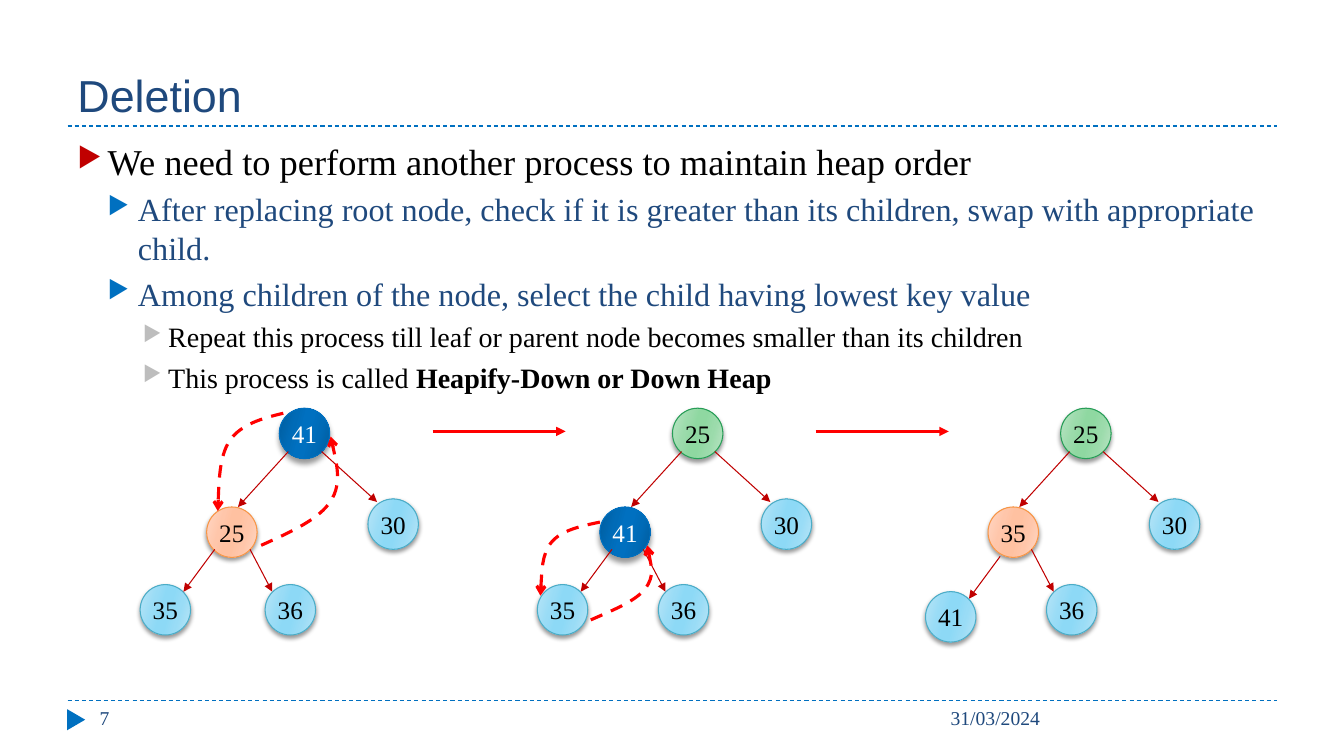
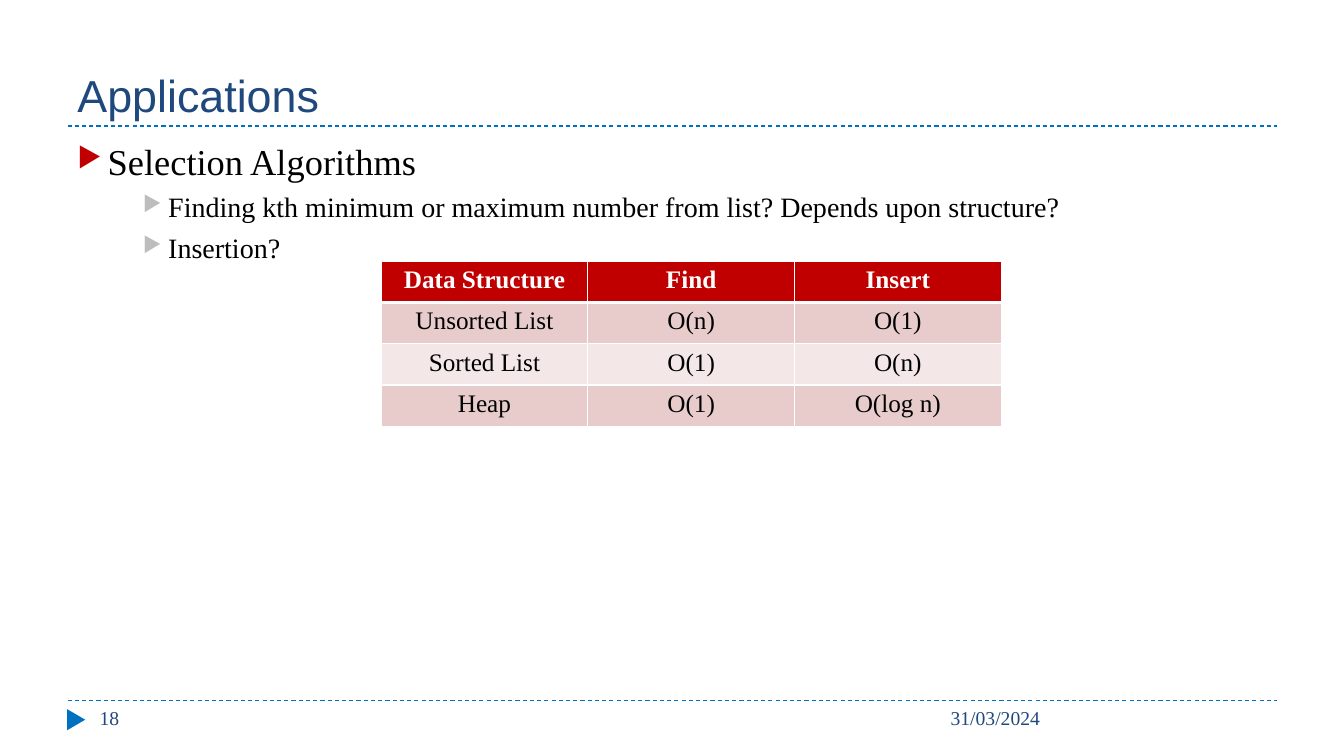
from lxml.etree import SubElement
from pptx import Presentation
from pptx.dml.color import RGBColor
from pptx.enum.dml import MSO_LINE as Dash
from pptx.enum.shapes import MSO_CONNECTOR as Conn, MSO_SHAPE as Shape
from pptx.enum.text import MSO_ANCHOR as Anchor, PP_ALIGN as Align
from pptx.oxml.ns import qn
from pptx.util import Pt

PX = 9144  # EMU in one px, 100 px to the inch
SERIF, SANS = "Times New Roman", "Arial"
HEX = {
    "navy": "1F497D", "blue": "0070C0", "crimson": "C00000", "red": "FF0000",
    "gray": "BDBDBD", "black": "000000", "white": "FFFFFF",
    "rose": "E8CCCC", "blush": "F4E7E7",
}
# Node style: outer, middle and inner gradient colour, outline, text
NODES = {
    "sky": ("B9E5F7", "99DCF6", "8DD9F6", "4BACC6", "black"),
    "peach": ("FFD7C5", "FFC6AA", "FFC1A1", "F79646", "black"),
    "green": ("BBE4C5", "9BDBAB", "8FD8A1", "279D57", "black"),
    "blue": ("005C9D", "006BB7", "0070C0", "0070C0", "white"),
}
STOPS = ((0, 0), (30, 1), (45, 2), (55, 2), (73, 1), (100, 0))
# Outline level: indent, hanging, space before, bullet colour, size, text colour
LEVELS = (
    (30, 30, 6, "crimson", 26, "black"),
    (60, 30, 5, "blue", 23, "navy"),
    (90, 25, 5, "gray", 20, "black"),
)
NODE = 50
# Edge start and end, measured from the corner of the child node
EDGES = {
    "left": ((81, -55), (31, 0)),
    "right": ((-46, -47), (9, 3)),
    "low left": ((74, -35), (43, 7)),
    "low right": ((-15, -35), (7, 7)),
}
ROOT_Y = 405


def px(*sizes):
    return [size * PX for size in sizes]


def rgb(name):
    return RGBColor.from_string(HEX.get(name, name))


def add(parent, tag, **attrs):
    return SubElement(parent, qn(tag), {k: str(v) for k, v in attrs.items()})


def write(para, text, size, color, font=SERIF, bold=False):
    run = para.add_run()
    run.text = text
    run.font.name, run.font.size, run.font.bold = font, Pt(size), bold
    run.font.color.rgb = rgb(color)


def add_box(slide, box, anchor=Anchor.TOP):
    frame = slide.shapes.add_textbox(*px(*box)).text_frame
    frame.word_wrap = True
    frame.vertical_anchor = anchor
    return frame


def add_label(slide, box, text, size, font=SERIF, anchor=Anchor.TOP):
    frame = add_box(slide, box, anchor)
    write(frame.paragraphs[0], text, size, "navy", font)


def pen(shape, color, width, dash=False, head=None):
    shape.line.color.rgb = rgb(color)
    shape.line.width = Pt(width)
    if dash:
        shape.line.dash_style = Dash.DASH
    if head:
        add(shape.get_or_add_ln(), "a:tailEnd", type=head)


def add_line(slide, start, end, color, width=0.75, **style):
    conn = slide.shapes.add_connector(Conn.STRAIGHT, *px(*start, *end))
    pen(conn, color, width, **style)
    add(conn.element.spPr, "a:effectLst")


def add_curve(slide, start, *points):
    """Draw a dashed arrow of cubic curves, three points to each."""
    build = slide.shapes.build_freeform(*start, scale=PX)
    build.add_line_segments(points, close=False)
    shape = build.convert_to_shape()
    shape.shadow.inherit = False
    shape.fill.background()
    pen(shape, "red", 2.25, dash=True, head="arrow")
    geom = shape.element.find(".//" + qn("a:path"))
    lines = geom.findall(qn("a:lnTo"))
    for first in range(0, len(lines), 3):
        cubic = add(geom, "a:cubicBezTo")
        for line in lines[first:first + 3]:
            cubic.append(line[0])
            geom.remove(line)


def add_frame(slide, title, number):
    """Draw the title, rules and footer shared by the slides."""
    for y in (695, 125):
        add_line(slide, (67, y), (1267, y), "blue", dash=True)
    mark = slide.shapes.add_shape(Shape.ISOSCELES_TRIANGLE, *px(65, 705, 21, 18))
    mark.rotation = 90
    mark.shadow.inherit = False
    mark.fill.solid()
    mark.fill.fore_color.rgb = rgb("blue")
    mark.line.fill.background()
    add_label(slide, (67, 17, 1200, 108), title, 32, SANS, Anchor.BOTTOM)
    add_label(slide, (933, 695, 334, 40), "31/03/2024", 14)
    add_label(slide, (89, 695, 289, 40), number, 14)


def add_list(slide, items):
    """Write outline items: level, text and an optional bold ending."""
    frame = add_box(slide, (67, 133, 1200, 540))
    for index, (level, *texts) in enumerate(items):
        para = frame.add_paragraph() if index else frame.paragraphs[0]
        left, hang, gap, mark, size, color = LEVELS[level]
        para.level = level
        para.space_before = Pt(gap)
        props = para._p.get_or_add_pPr()
        props.set("marL", str(left * PX))
        props.set("indent", str(-hang * PX))
        add(add(props, "a:buClr"), "a:srgbClr", val=HEX[mark])
        add(props, "a:buSzPct", val=76000)
        add(props, "a:buChar", char="▶")
        for order, text in enumerate(texts):
            write(para, text, size, color, bold=order > 0)


def add_node(slide, x, y, text, kind):
    *fills, edge, color = NODES[kind]
    node = slide.shapes.add_shape(Shape.OVAL, *px(x, y, NODE, NODE))
    grad = add(node.element.spPr, "a:gradFill", rotWithShape=1)
    stops = add(grad, "a:gsLst")
    for pos, index in STOPS:
        stop = add(stops, "a:gs", pos=pos * 1000)
        add(stop, "a:srgbClr", val=fills[index])
    add(grad, "a:lin", ang=16 * 60000, scaled=0)
    pen(node, edge, 0.75)
    node.shadow.inherit = False
    blur, dist = (4, 3.4) if kind == "blue" else (3, 2)
    shade = add(node.element.spPr.find(qn("a:effectLst")), "a:outerShdw",
                blurRad=Pt(blur), dist=Pt(dist), dir=90 * 60000, rotWithShape=0)
    tint = add(shade, "a:srgbClr", val=HEX["black"])
    add(tint, "a:alpha", val=40000)
    frame = node.text_frame
    frame.margin_left = frame.margin_right = 0
    frame.vertical_anchor = Anchor.MIDDLE
    para = frame.paragraphs[0]
    para.alignment = Align.CENTER
    write(para, text, 18, color)


def add_tree(slide, x, root, left, right, leaf, last, leaf_at):
    """Draw a heap with its root at x; a node is its text and style."""
    spots = {
        "low right": (x - 14, 580, last),
        "low left": (*leaf_at, leaf),
        "right": (x + 88, 495, right),
        "left": (x - 72, 503, left),
    }
    for cx, cy, node in (*spots.values(), (x, ROOT_Y, root)):
        add_node(slide, cx, cy, *node)
    for side, (cx, cy, _) in spots.items():
        start, end = [(cx + dx, cy + dy) for dx, dy in EDGES[side]]
        add_line(slide, start, end, "crimson", head="triangle")


def add_grid(slide, rows):
    """Draw a table with a header row and shaded rows."""
    wide, high = 205, 41
    box = px(378, 259, wide * len(rows[0]), high * len(rows))
    table = slide.shapes.add_table(len(rows), len(rows[0]), *box).table
    for col in table.columns:
        col.width = wide * PX
    for r, texts in enumerate(rows):
        table.rows[r].height = high * PX
        head = r == 0
        fill = "crimson" if head else ("blush", "rose")[r % 2]
        for c, text in enumerate(texts):
            cell = table.cell(r, c)
            para = cell.text_frame.paragraphs[0]
            para.alignment = Align.CENTER
            write(para, text, 18, "white" if head else "black", bold=head)
            props = cell._tc.get_or_add_tcPr()
            for side in "LRTB":
                thick = (side == "B" and head) or (side == "T" and r == 1)
                edge = add(props, f"a:ln{side}", w=Pt(3 if thick else 1))
                add(add(edge, "a:solidFill"), "a:srgbClr", val=HEX["white"])
            cell.fill.solid()
            cell.fill.fore_color.rgb = rgb(fill)


def add_heaps(slide):
    right, last = ("30", "sky"), ("36", "sky")
    add_tree(slide, 277, ("41", "blue"), ("25", "peach"), right,
             ("35", "sky"), last, (139, 580))
    add_tree(slide, 667, ("25", "green"), ("41", "blue"), right,
             ("35", "sky"), last, (533, 580))
    add_tree(slide, 1052, ("25", "green"), ("35", "peach"), right,
             ("41", "sky"), last, (918, 587))
    for x in (429, 809):
        add_line(slide, (x, 428), (x + 132, 428), "red", 2.25, head="triangle")
    add_curve(slide, (281, 410), (260, 415), (239, 421), (228, 437),
              (217, 453), (216, 507), (216, 507))
    add_curve(slide, (259, 541), (288, 528), (317, 515), (328, 497),
              (340, 479), (328, 433), (328, 433))
    add_curve(slide, (595, 518), (576, 522), (557, 526), (547, 538),
              (537, 550), (536, 591), (536, 591))
    add_curve(slide, (586, 615), (609, 605), (631, 596), (640, 584),
              (650, 571), (642, 541), (642, 541))


def main():
    deck = Presentation()
    deck.slide_width, deck.slide_height = px(1333, 750)
    blank = deck.slide_layouts[6]

    slide = deck.slides.add_slide(blank)
    add_frame(slide, "Deletion", "7")
    add_list(slide, [
        (0, "We need to perform another process to maintain heap order"),
        (1, "After replacing root node, check if it is greater than its "
            "children, swap with appropriate child."),
        (1, "Among children of the node, select the child having lowest "
            "key value"),
        (2, "Repeat this process till leaf or parent node becomes smaller "
            "than its children"),
        (2, "This process is called ", "Heapify-Down or Down Heap"),
    ])
    add_heaps(slide)

    slide = deck.slides.add_slide(blank)
    add_frame(slide, "Applications", "18")
    add_list(slide, [
        (0, "Selection Algorithms"),
        (2, "Finding kth minimum or maximum number from list? "
            "Depends upon structure?"),
        (2, "Insertion?"),
    ])
    add_grid(slide, [
        ("Data Structure", "Find", "Insert"),
        ("Unsorted List", "O(n)", "O(1)"),
        ("Sorted List", "O(1)", "O(n)"),
        ("Heap", "O(1)", "O(log n)"),
    ])
    deck.save("out.pptx")


if __name__ == "__main__":
    main()
